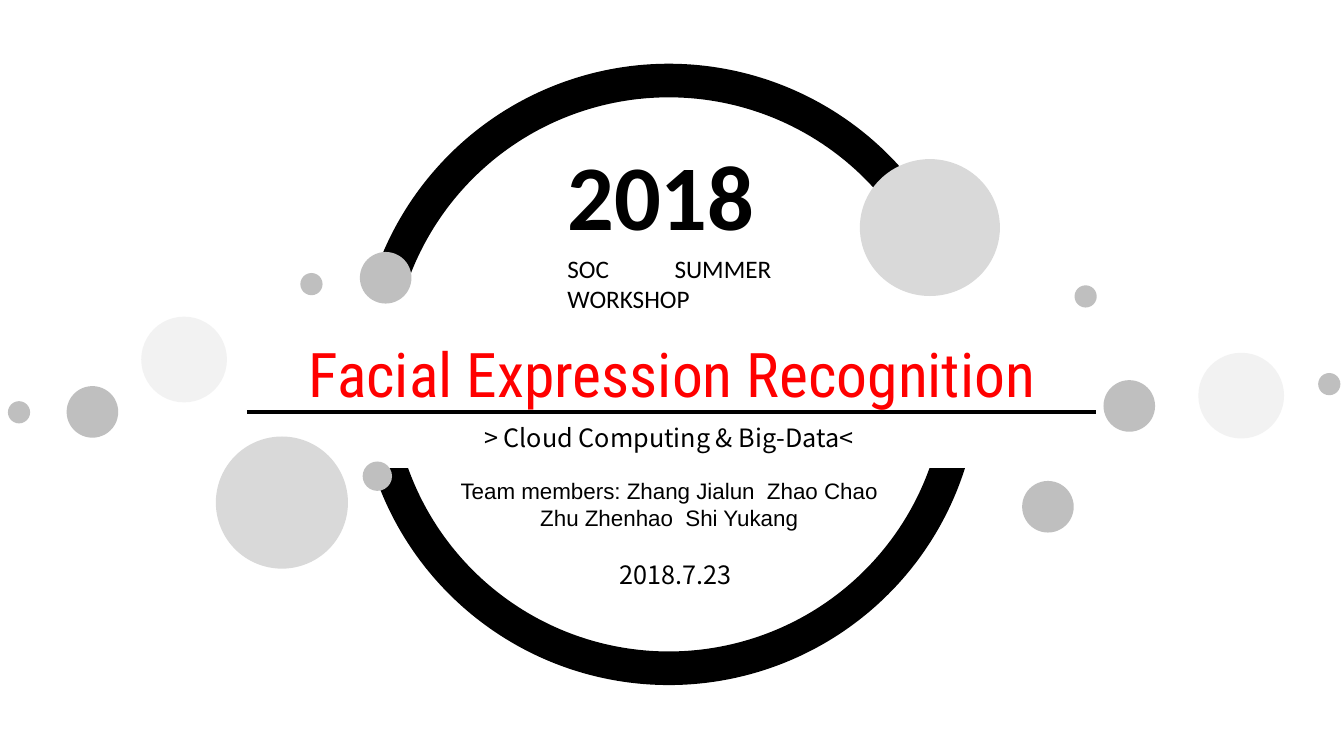
from lxml.etree import SubElement
from pptx import Presentation
from pptx.dml.color import RGBColor
from pptx.enum.shapes import MSO_CONNECTOR, MSO_SHAPE as Shape
from pptx.enum.text import PP_ALIGN as Align
from pptx.oxml.ns import qn
from pptx.util import Cm, Pt

BLACK = RGBColor(0x00, 0x00, 0x00)
WHITE = RGBColor(0xFF, 0xFF, 0xFF)
RED = RGBColor(0xFF, 0x00, 0x00)
PALE = RGBColor(0xF2, 0xF2, 0xF2)
LIGHT = RGBColor(0xD9, 0xD9, 0xD9)
GREY = RGBColor(0xBF, 0xBF, 0xBF)

SANS = "Noto Sans CJK SC"

BACK_DOTS = [
    (3.33, LIGHT, [(5.44, 11.0)]),
    (2.16, PALE, [(3.56, 7.98), (30.2, 8.89)]),
    (1.3, GREY, [(1.68, 9.73), (25.76, 12.12), (27.81, 9.58)]),
    (0.56, GREY, [(7.57, 6.88), (0.2, 10.11), (33.22, 9.4), (27.08, 7.19)]),
]
FRONT_DOTS = [
    (1.3, GREY, [(9.07, 6.35)]),
    (0.74, GREY, [(9.14, 11.63)]),
]
RING = (9.45, 2.03, 14.81, 14.81)
BAND = (8.99, 6.91, 15.75, 4.88)
BIG_DOT = (21.67, 4.01, 3.53, 3.45)
RULE = (6.22, 27.61, 10.39)

TEXTS = [
    ("Facial Expression Recognition", (5.44, 7.54, 23.01, 2.92),
     dict(size=44, font="Roboto Condensed", color=RED, spacing=75.2)),
    ("> Cloud Computing & Big-Data<", (6.15, 10.52, 21.41, 1.02),
     dict(size=18, font=SANS)),
    ("Team members: Zhang Jialun  Zhao Chao Zhu Zhenhao  Shi Yukang",
     (10.87, 11.89, 11.99, 1.63), dict(size=16, font="Arial")),
    ("SOC SUMMER WORKSHOP", (14.05, 6.25, 5.64, 1.02),
     dict(size=18, font="Calibri", align=Align.JUSTIFY)),
    ("2018", (14.05, 3.35, 5.64, 3.07),
     dict(size=66, font="Calibri", bold=True, align=Align.JUSTIFY)),
    ("2018.7.23", (15.37, 13.97, 5.94, 1.02),
     dict(size=18, font=SANS, align=Align.LEFT)),
]


def add_figure(page, kind, place, fill=None, line=None, width=0):
    figure = page.shapes.add_shape(kind, *map(Cm, place))
    figure.shadow.inherit = False
    if fill is None:
        figure.fill.background()
    else:
        figure.fill.solid()
        figure.fill.fore_color.rgb = fill
    if line is None:
        figure.line.fill.background()
    else:
        figure.line.color.rgb = line
        figure.line.width = Pt(width)


def add_dots(page, groups):
    for size, color, corners in groups:
        for left, top in corners:
            add_figure(page, Shape.OVAL, (left, top, size, size), fill=color)


def add_rule(page, left, right, top):
    rule = page.shapes.add_connector(
        MSO_CONNECTOR.STRAIGHT, Cm(left), Cm(top), Cm(right), Cm(top))
    rule.line.color.rgb = BLACK
    rule.line.width = Pt(3)
    SubElement(rule._element.spPr, qn("a:effectLst"))


def add_text(page, text, place, size, font, color=BLACK, bold=False,
             align=Align.CENTER, spacing=None):
    box = page.shapes.add_textbox(*map(Cm, place))
    box.text_frame.word_wrap = True
    para = box.text_frame.paragraphs[0]
    para.alignment = align
    if spacing:
        para.line_spacing = Pt(spacing)
    span = para.add_run()
    span.text = text
    span.font.name = font
    span.font.size = Pt(size)
    span.font.bold = bold
    span.font.color.rgb = color


def main():
    deck = Presentation()
    deck.slide_width, deck.slide_height = Cm(33.87), Cm(19.05)
    page = deck.slides.add_slide(deck.slide_layouts[6])
    add_dots(page, BACK_DOTS)
    add_figure(page, Shape.OVAL, RING, line=BLACK, width=24)
    add_figure(page, Shape.RECTANGLE, BAND, fill=WHITE)
    add_figure(page, Shape.OVAL, BIG_DOT, fill=LIGHT)
    add_dots(page, FRONT_DOTS)
    add_rule(page, *RULE)
    for text, place, style in TEXTS:
        add_text(page, text, place, **style)
    deck.save("out.pptx")


if __name__ == "__main__":
    main()
